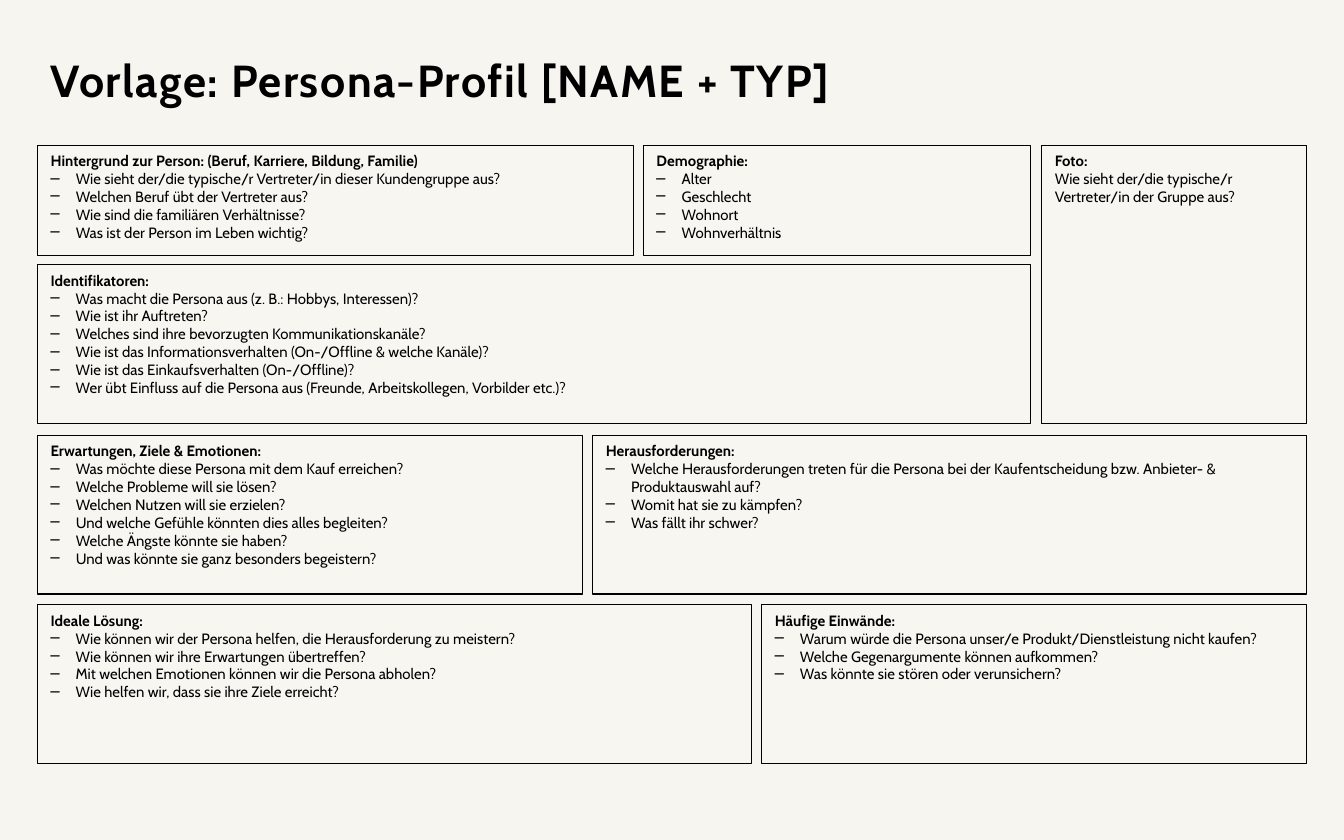
from dataclasses import dataclass

from lxml import etree
from pptx import Presentation
from pptx.dml.color import RGBColor
from pptx.enum.shapes import MSO_SHAPE
from pptx.enum.text import MSO_ANCHOR, PP_ALIGN
from pptx.oxml.ns import qn
from pptx.util import Pt

RECT = MSO_SHAPE.RECTANGLE
TOP, MIDDLE = MSO_ANCHOR.TOP, MSO_ANCHOR.MIDDLE
LEFT = PP_ALIGN.LEFT


@dataclass(frozen=True)
class Theme:
    background: RGBColor = RGBColor(0xF6, 0xF5, 0xF0)
    panel: RGBColor = RGBColor(0xF7, 0xF6, 0xF1)
    ink: RGBColor = RGBColor(0, 0, 0)
    font: str = "Cabin"
    title_size: int = 24
    body_size: int = 8


theme = Theme()


def add_run(p, text, size, bold):
    r = p.add_run()
    r.text = text
    r.font.name = theme.font
    r.font.size = Pt(size)
    r.font.bold = bold
    r.font.color.rgb = theme.ink
    return r


def add_dash(p, indent=13.5):
    """Give the paragraph a hanging indent and a dash as its bullet."""
    pPr = p._p.get_or_add_pPr()
    pPr.set("marL", str(Pt(indent)))
    pPr.set("indent", str(-Pt(indent)))
    etree.SubElement(pPr, qn("a:buFont")).set("typeface", theme.font)
    etree.SubElement(pPr, qn("a:buChar")).set("char", "─")


prs = Presentation()
prs.slide_width, prs.slide_height = Pt(720), Pt(450)
s = prs.slides.add_slide(prs.slide_layouts[6])
s.background.fill.solid()
s.background.fill.fore_color.rgb = theme.background

# Title
title = s.shapes.add_textbox(Pt(20), Pt(27.4), Pt(615.6), Pt(33.8))
tf = title.text_frame
tf.word_wrap = True
tf.vertical_anchor = MIDDLE
p = tf.paragraphs[0]
p.line_spacing = 0.9
r = add_run(p, "Vorlage: Persona-Profil [NAME + TYP]", theme.title_size, True)
r.font._element.set("spc", "80")

# Panels: the rows share a left and right edge, the photo spans two rows
x_left, x_right = 20, 700
y_person, y_traits, y_goals, y_solution = 77.8, 141.8, 233.2, 324
h_short, h_tall = 59, 85
h_photo = y_traits + h_tall - y_person
w_narrow, w_wide = 292, 382.5
x_photo, x_demo, x_mid = 558, 344.6, 552

panels = [
    (x_photo, y_person, x_right - x_photo, h_photo, "Foto:",
     ["Wie sieht der/die typische/r Vertreter/in der Gruppe aus?"]),
    (x_left, y_person, 319.5, h_short,
     "Hintergrund zur Person: (Beruf, Karriere, Bildung, Familie)",
     ["Wie sieht der/die typische/r Vertreter/in dieser Kundengruppe aus?",
      "Welchen Beruf übt der Vertreter aus?",
      "Wie sind die familiären Verhältnisse?",
      "Was ist der Person im Leben wichtig?"]),
    (x_demo, y_person, x_mid - x_demo, h_short, "Demographie:",
     ["Alter", "Geschlecht", "Wohnort", "Wohnverhältnis"]),
    (x_left, y_traits, x_mid - x_left, h_tall, "Identifikatoren:",
     ["Was macht die Persona aus (z. B.: Hobbys, Interessen)?",
      "Wie ist ihr Auftreten?",
      "Welches sind ihre bevorzugten Kommunikationskanäle?",
      "Wie ist das Informationsverhalten (On-/Offline & welche Kanäle)?",
      "Wie ist das Einkaufsverhalten (On-/Offline)?",
      "Wer übt Einfluss auf die Persona aus "
      "(Freunde, Arbeitskollegen, Vorbilder etc.)?"]),
    (x_left, y_goals, w_narrow, h_tall, "Erwartungen, Ziele & Emotionen:",
     ["Was möchte diese Persona mit dem Kauf erreichen?",
      "Welche Probleme will sie lösen?",
      "Welchen Nutzen will sie erzielen?",
      "Und welche Gefühle könnten dies alles begleiten?",
      "Welche Ängste könnte sie haben?",
      "Und was könnte sie ganz besonders begeistern?"]),
    (x_right - w_wide, y_goals, w_wide, h_tall, "Herausforderungen:",
     ["Welche Herausforderungen treten für die Persona bei der "
      "Kaufentscheidung bzw. Anbieter- & Produktauswahl auf?",
      "Womit hat sie zu kämpfen?",
      "Was fällt ihr schwer?"]),
    (x_left, y_solution, w_wide, h_tall, "Ideale Lösung:",
     ["Wie können wir der Persona helfen, die Herausforderung zu meistern?",
      "Wie können wir ihre Erwartungen übertreffen?",
      "Mit welchen Emotionen können wir die Persona abholen?",
      "Wie helfen wir, dass sie ihre Ziele erreicht?"]),
    (x_right - w_narrow, y_solution, w_narrow, h_tall, "Häufige Einwände:",
     ["Warum würde die Persona unser/e Produkt/Dienstleistung nicht kaufen?",
      "Welche Gegenargumente können aufkommen?",
      "Was könnte sie stören oder verunsichern?"]),
]

for x, y, w, h, heading, questions in panels:
    sp = s.shapes.add_shape(RECT, Pt(x), Pt(y), Pt(w), Pt(h))
    sp.shadow.inherit = False
    sp.fill.solid()
    sp.fill.fore_color.rgb = theme.panel
    sp.line.color.rgb = theme.ink
    sp.line.width = Pt(0.75)
    tf = sp.text_frame
    tf.word_wrap = True
    tf.vertical_anchor = TOP
    p = tf.paragraphs[0]
    p.alignment = LEFT
    add_run(p, heading, theme.body_size, True)
    for question in questions:
        p = tf.add_paragraph()
        p.alignment = LEFT
        if len(questions) > 1:
            add_dash(p)
        add_run(p, question, theme.body_size, False)

prs.save("out.pptx")
